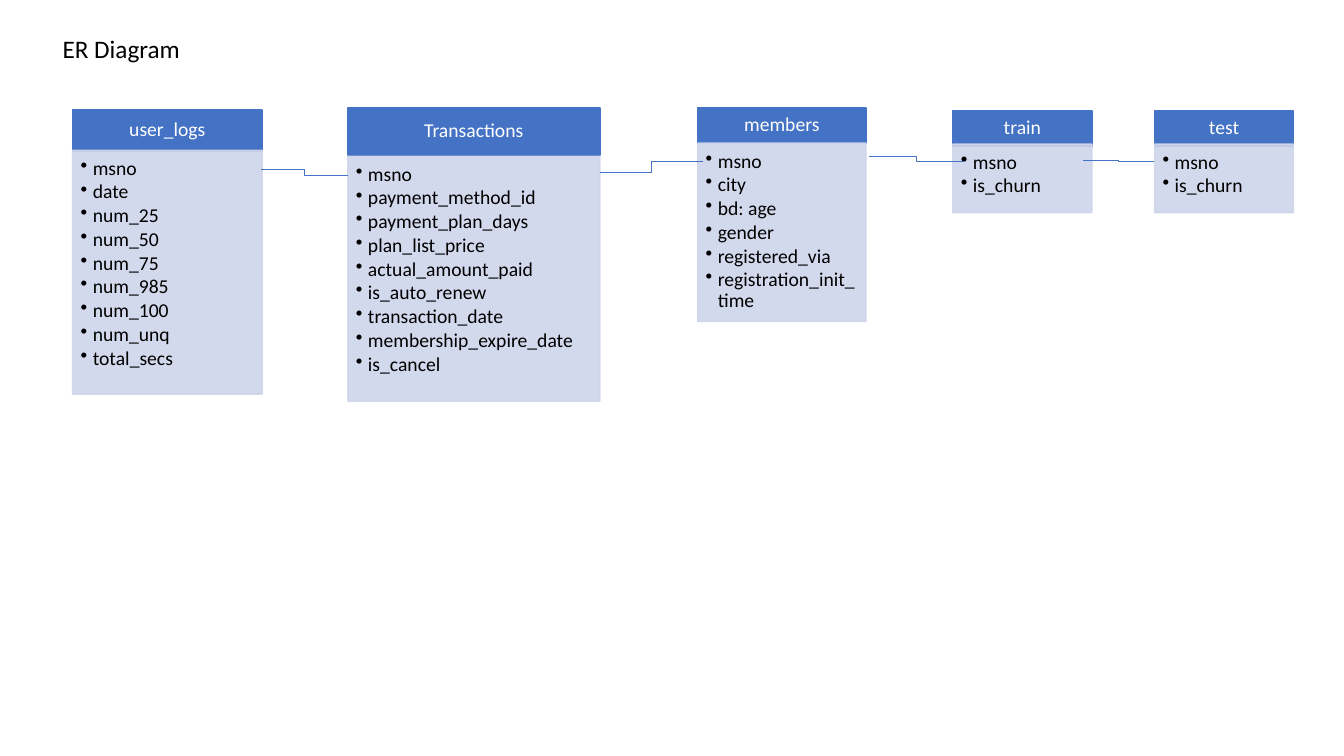
"""Build the ER Diagram slide on a grid of tenth-of-an-inch cells."""
from typing import Any, NamedTuple

from lxml.etree import SubElement
from pptx import Presentation
from pptx.dml.color import RGBColor
from pptx.enum.shapes import MSO_CONNECTOR, MSO_SHAPE
from pptx.enum.text import MSO_ANCHOR, MSO_AUTO_SIZE, PP_ALIGN
from pptx.oxml.ns import qn
from pptx.util import Inches, Pt

CELL = Inches(0.1)
BLUE = RGBColor(0x44, 0x72, 0xC4)
PALE = RGBColor(0xCF, 0xD5, 0xEA)
WHITE = RGBColor(0xFF, 0xFF, 0xFF)
BLACK = RGBColor(0, 0, 0)
FONT = "Calibri"
INDENT = Inches(0.12)
HEADER_FRAME = {"word_wrap": True, "vertical_anchor": MSO_ANCHOR.MIDDLE,
                "margin_left": Inches(0.11), "margin_right": Inches(0.11),
                "margin_top": Inches(0.06), "margin_bottom": Inches(0.06)}
BODY_FRAME = {"word_wrap": True, "vertical_anchor": MSO_ANCHOR.TOP,
              "margin_left": Inches(0.08), "margin_right": Inches(0.11),
              "margin_top": Inches(0.08), "margin_bottom": Inches(0.12)}
TITLE_FRAME = {"word_wrap": True, "vertical_anchor": MSO_ANCHOR.TOP,
               "auto_size": MSO_AUTO_SIZE.SHAPE_TO_FIT_TEXT}
HEADER_PARA = {"alignment": PP_ALIGN.CENTER, "line_spacing": 0.9}
BODY_PARA = {"alignment": PP_ALIGN.LEFT, "line_spacing": 0.9, "space_after": Pt(1.8)}


class Entity(NamedTuple):
    """A table of the model, with its place in columns and rows."""
    name: str
    fields: str
    left: float
    width: float
    top: float
    header_rows: float
    body_top: float
    body_rows: float


class Link(NamedTuple):
    """An elbow line between two entities, in columns and rows."""
    start_column: float
    start_row: float
    end_column: float
    end_row: float


ENTITIES = [
    Entity("user_logs",
           "msno date num_25 num_50 num_75 num_985 num_100 num_unq total_secs",
           7.2, 18.8, 10.9, 4.1, 14.9, 24.2),
    Entity("Transactions",
           "msno payment_method_id payment_plan_days plan_list_price actual_amount_paid "
           "is_auto_renew transaction_date membership_expire_date is_cancel",
           34.5, 25, 10.7, 4.7, 15.5, 24.3),
    Entity("members", "msno city bd:\u2009age gender registered_via registration_init_time"
           .replace("\u2009", "~"), 69.2, 16.7, 10.7, 3.5, 14.2, 17.7),
    *[Entity(name, "msno is_churn", left, 13.8, 11, 3.5, 14.3, 6.8)
      for name, left in (("train", 94.5), ("test", 114.5))],
]
LINKS = [Link(25.9, 16.8, 34.5, 17.4), Link(59.5, 17.1, 69.7, 16),
         Link(86.2, 15.5, 95.6, 16), Link(107.4, 15.9, 114.5, 16)]


def grid(*cells: float) -> list[int]:
    """Turn columns and rows into slide lengths."""
    return [round(count * CELL) for count in cells]


def apply(target: Any, values: dict[str, Any]) -> None:
    """Set every attribute named in a dict of format values."""
    for name, value in values.items():
        setattr(target, name, value)


def write(para: Any, text: str, size: float, color: RGBColor) -> None:
    """Add one formatted span to a paragraph."""
    span = para.add_run()
    span.text = text
    apply(span.font, {"name": FONT, "size": Pt(size)})
    span.font.color.rgb = color


def add_bullet(para: Any) -> None:
    """Give a paragraph a hanging round bullet."""
    properties = para._p.get_or_add_pPr()
    properties.set("marL", str(INDENT))
    properties.set("indent", str(-INDENT))
    SubElement(properties, qn("a:buChar"), char="•")


def add_box(page: Any, place: list[int], color: RGBColor, frame: dict[str, Any]) -> Any:
    """Draw a filled and outlined rectangle ready for text."""
    box = page.shapes.add_shape(MSO_SHAPE.RECTANGLE, *place)
    box.shadow.inherit = False
    box.fill.solid()
    box.fill.fore_color.rgb = color
    box.line.color.rgb = color
    box.line.width = Pt(1)
    apply(box.text_frame, frame)
    return box


def add_entity(page: Any, entity: Entity) -> None:
    """Draw the header of an entity and its list of fields."""
    header = add_box(page, grid(entity.left, entity.top, entity.width, entity.header_rows),
                     BLUE, HEADER_FRAME)
    para = header.text_frame.paragraphs[0]
    apply(para, HEADER_PARA)
    write(para, entity.name, 14, WHITE)

    body = add_box(page, grid(entity.left, entity.body_top, entity.width, entity.body_rows),
                   PALE, BODY_FRAME)
    for color in body.element.spPr.iter(qn("a:srgbClr")):
        SubElement(color, qn("a:alpha"), val="90000")
    for index, field in enumerate(entity.fields.split()):
        para = body.text_frame.add_paragraph() if index else body.text_frame.paragraphs[0]
        apply(para, BODY_PARA)
        add_bullet(para)
        write(para, field.replace("~", " "), 14, BLACK)


def add_link(page: Any, link: Link) -> None:
    """Draw an elbow connector."""
    line = page.shapes.add_connector(MSO_CONNECTOR.ELBOW, *grid(*link))
    line.line.color.rgb = BLUE
    line.line.width = Pt(0.5)
    SubElement(line.element.spPr, qn("a:effectLst"))


def add_title(page: Any, text: str) -> None:
    """Place and format the title placeholder."""
    title = page.shapes.title
    apply(title, dict(zip(("left", "top", "width", "height"), grid(5.2, 2.8, 121, 4))))
    apply(title.text_frame, TITLE_FRAME)
    para = title.text_frame.paragraphs[0]
    para.alignment = PP_ALIGN.LEFT
    write(para, text, 18, BLACK)


def main() -> None:
    """Build and save the deck."""
    deck = Presentation()
    apply(deck, {"slide_width": Inches(13.33), "slide_height": Inches(7.5)})
    page = deck.slides.add_slide(deck.slide_layouts[5])
    add_title(page, "ER Diagram")
    for entity in ENTITIES:
        add_entity(page, entity)
    for link in LINKS:
        add_link(page, link)
    deck.save("out.pptx")


main()
